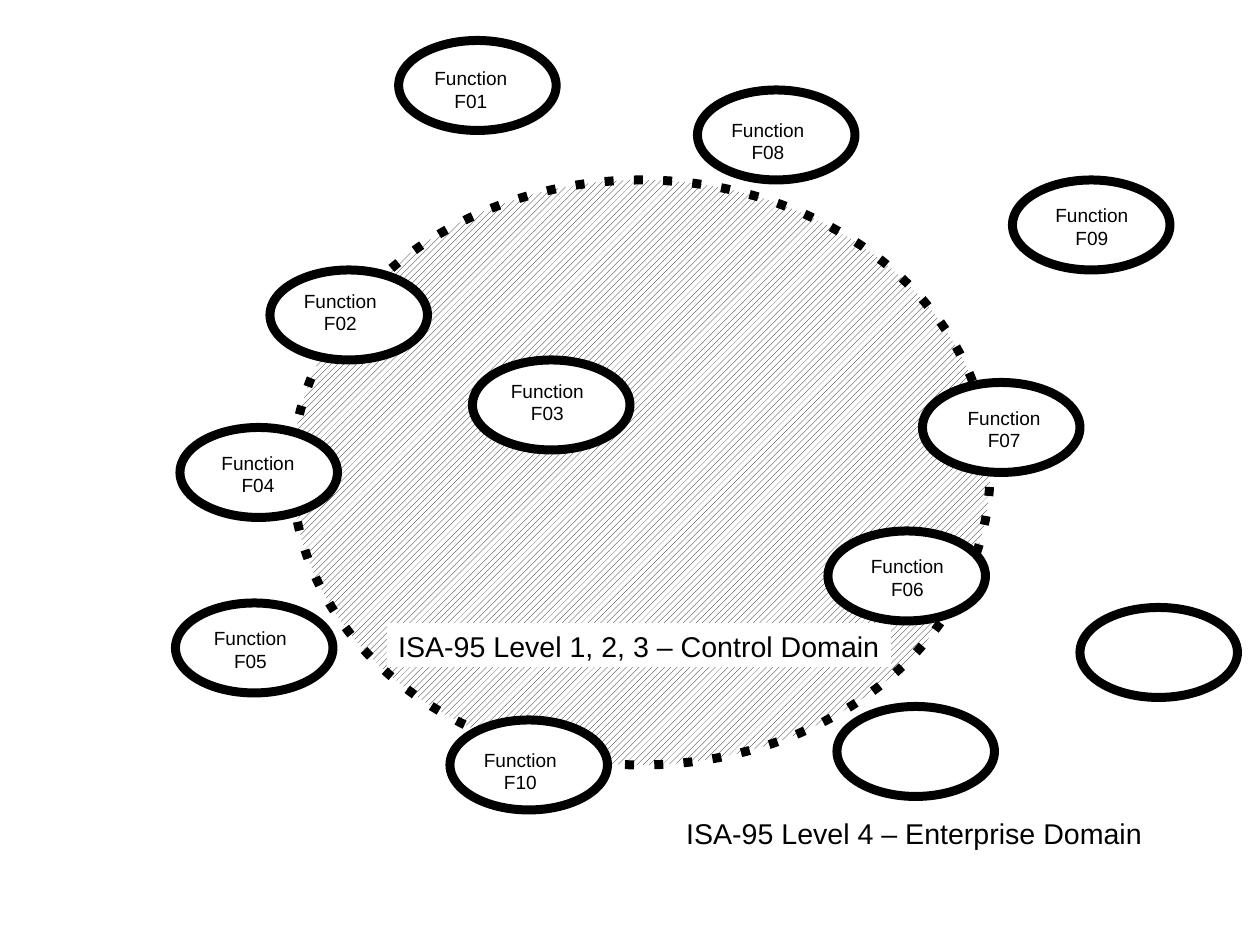
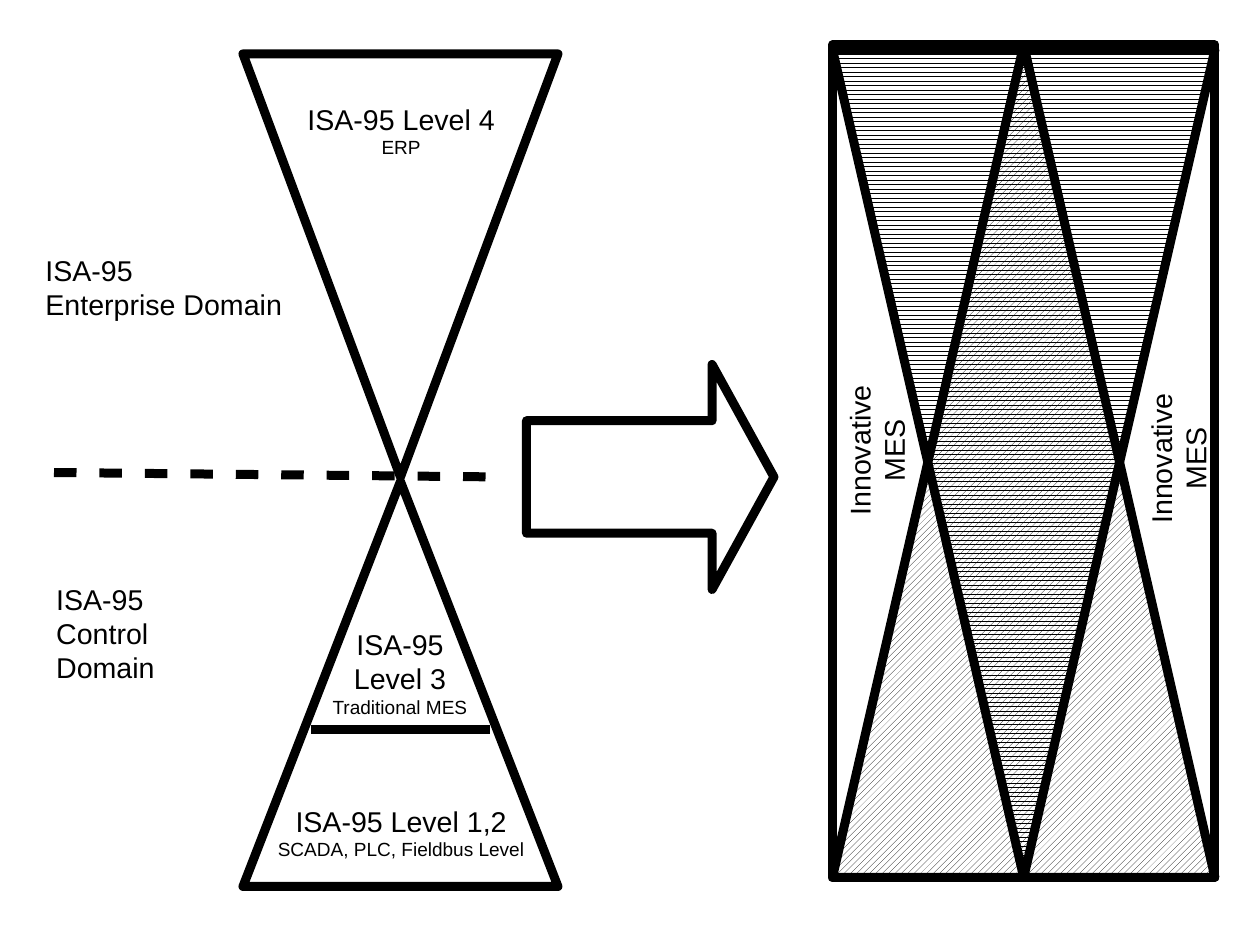
from dataclasses import dataclass
from typing import Optional

from lxml.etree import SubElement
from pptx import Presentation
from pptx.dml.color import RGBColor
from pptx.enum.dml import MSO_PATTERN
from pptx.enum.shapes import MSO_CONNECTOR, MSO_SHAPE
from pptx.enum.text import MSO_AUTO_SIZE, PP_ALIGN
from pptx.oxml.ns import qn
from pptx.util import Emu, Length, Pt

COLUMNS, ROWS = 28, 21
CELL = 360000  # square grid cell, one centimetre


@dataclass(frozen=True)
class Theme:
    ink: RGBColor = RGBColor(0, 0, 0)
    paper: RGBColor = RGBColor(255, 255, 255)
    font: str = "Arial"
    heading: Length = Pt(18)
    note: Length = Pt(12)
    stroke: Length = Pt(5.67)


THEME = Theme()


@dataclass(frozen=True)
class Area:
    """A rectangle in grid columns and rows."""
    column: float
    row: float
    columns: float
    rows: float

    def box(self) -> tuple[Emu, Emu, Emu, Emu]:
        return cells(self.column), cells(self.row), cells(self.columns), cells(self.rows)


@dataclass(frozen=True)
class Outline:
    kind: MSO_SHAPE
    area: Area
    pattern: Optional[MSO_PATTERN] = None
    filled: bool = True
    flipped: bool = False
    dash: Optional[tuple[float, float]] = None
    adjustments: tuple[float, ...] = ()


@dataclass(frozen=True)
class Label:
    area: Area
    headings: tuple[str, ...] = ()
    notes: tuple[str, ...] = ()
    align: PP_ALIGN = PP_ALIGN.CENTER
    filled: bool = False
    rotation: float = 0


@dataclass(frozen=True)
class Rule:
    start: tuple[float, float]
    end: tuple[float, float]
    dash: Optional[tuple[float, float]] = None


@dataclass(frozen=True)
class Function:
    """An ellipse on the grid, with its label's offset from the ellipse."""
    column: float
    row: float
    code: str = ""
    shift: tuple[float, float] = (0, 0)


# Slide 1: functions around the control domain
CONTROL_DOMAIN = Outline(MSO_SHAPE.OVAL, Area(6.5, 4, 15.5, 13),
                         MSO_PATTERN.WIDE_UPWARD_DIAGONAL, dash=(1, 2.25))
DOMAIN_LABELS = (
    Label(Area(15, 18, 10.64, 0.97), ("ISA-95 Level 4 – Enterprise Domain",),
          align=PP_ALIGN.LEFT),
    Label(Area(8.6, 13.85, 11.2, 0.97), ("ISA-95 Level 1, 2, 3 – Control Domain",),
          align=PP_ALIGN.LEFT, filled=True),
)
FUNCTIONS = (
    Function(8.86, 0.9, "F01", (0.54, 0.45)),
    Function(6, 6, "F02", (0.5, 0.3)),
    Function(10.5, 8, "F03", (0.6, 0.3)),
    Function(4, 9.5, "F04", (0.67, 0.4)),
    Function(3.9, 13.4, "F05", (0.6, 0.4)),
    Function(18.4, 11.8, "F06", (0.7, 0.4)),
    Function(20.5, 8.5, "F07", (0.75, 0.4)),
    Function(15.5, 2, "F08", (0.5, 0.5)),
    Function(22.5, 4, "F09", (0.7, 0.4)),
    Function(10, 16, "F10", (0.5, 0.5)),
    Function(24, 13.5),
    Function(18.6, 15.7),
)

# Slide 2: from the two-level hourglass to the innovative MES
TRIANGLE = MSO_SHAPE.FLOWCHART_EXTRACT
MES_FRAME = Area(18.5, 1, 8.5, 18.5)
HOURGLASS = (
    Outline(TRIANGLE, Area(5.4, 10.7, 7, 9)),
    Outline(TRIANGLE, Area(5.4, 1.2, 7, 9.4), filled=False, flipped=True),
)
TRANSITION = (
    Outline(MSO_SHAPE.RIGHT_ARROW, Area(11.7, 8.1, 5.5, 5), adjustments=(0.5, 0.275)),
    Outline(TRIANGLE, Area(18.5, 1.1, 8.5, 18.4), MSO_PATTERN.HORIZONTAL, flipped=True),
    Outline(TRIANGLE, MES_FRAME, MSO_PATTERN.WIDE_UPWARD_DIAGONAL),
    Outline(MSO_SHAPE.RECTANGLE, MES_FRAME, filled=False),
)
DIVIDERS = (
    Rule((6.9, 16.2), (10.9, 16.2)),
    Rule((1.2, 10.5), (11.2, 10.6), dash=(2.5, 2.55)),
)
LEVEL_LABELS = (
    Label(Area(6.5, 2.13, 4.83, 1.45), ("ISA-95 Level 4",), ("ERP",)),
    Label(Area(7.14, 13.8, 3.5, 2.16), ("ISA-95", "Level 3"), ("Traditional MES",)),
    Label(Area(5.92, 17.73, 5.99, 1.45), ("ISA-95 Level 1,2",),
          ("SCADA, PLC, Fieldbus Level",)),
    Label(Area(0.76, 5.5, 5.77, 1.68), ("ISA-95", "Enterprise Domain"),
          align=PP_ALIGN.LEFT),
    Label(Area(1, 12.8, 4.9, 1.68), ("ISA-95", "Control Domain"), align=PP_ALIGN.LEFT),
    Label(Area(17.73, 9.17, 3.4, 1.68), ("Innovative", "MES"), rotation=270),
    Label(Area(24.43, 9.35, 3.4, 1.68), ("Innovative", "MES"), rotation=270),
)


def cells(count: float) -> Emu:
    return Emu(round(count * CELL))


def style_line(line, dash: Optional[tuple[float, float]]) -> None:
    """Apply the shared stroke; dash and gap are multiples of its width."""
    line.width = THEME.stroke
    line.fill.solid()
    line.fill.fore_color.rgb = THEME.ink
    if dash:
        dashes = SubElement(line.fill._xPr, qn("a:custDash"))
        length, gap = (str(round(part * 100000)) for part in dash)
        SubElement(dashes, qn("a:ds"), d=length, sp=gap)


def fill_pattern(fill, pattern: MSO_PATTERN) -> None:
    """Hatch in ink over a see-through background."""
    fill.patterned()
    fill.pattern = pattern
    fill.fore_color.rgb = THEME.ink
    fill.back_color.rgb = THEME.paper
    background = fill._xPr.find(f".//{qn('a:bgClr')}/{qn('a:srgbClr')}")
    SubElement(background, qn("a:alpha"), val="0")


def fill_paper(fill) -> None:
    fill.solid()
    fill.fore_color.rgb = THEME.paper


def draw_outline(slide, outline: Outline) -> None:
    shape = slide.shapes.add_shape(outline.kind, *outline.area.box())
    shape.shadow.inherit = False
    for index, value in enumerate(outline.adjustments):
        shape.adjustments[index] = value
    if outline.pattern is not None:
        fill_pattern(shape.fill, outline.pattern)
    elif outline.filled:
        fill_paper(shape.fill)
    else:
        shape.fill.background()
    style_line(shape.line, outline.dash)
    if outline.flipped:
        shape.element.spPr.find(qn("a:xfrm")).set("flipV", "1")


def draw_label(slide, label: Label) -> None:
    caption = slide.shapes.add_textbox(*label.area.box())
    caption.rotation = label.rotation
    if label.filled:
        fill_paper(caption.fill)
    frame = caption.text_frame
    frame.word_wrap = False
    frame.auto_size = MSO_AUTO_SIZE.SHAPE_TO_FIT_TEXT
    frame.text = "\n".join(label.headings + label.notes)
    for index, paragraph in enumerate(frame.paragraphs):
        paragraph.alignment = label.align
        for run in paragraph.runs:
            run.font.name = THEME.font
            run.font.size = THEME.heading if index < len(label.headings) else THEME.note
            run.font.color.rgb = THEME.ink


def draw_rule(slide, rule: Rule) -> None:
    ends = [cells(value) for value in rule.start + rule.end]
    connector = slide.shapes.add_connector(MSO_CONNECTOR.STRAIGHT, *ends)
    style_line(connector.line, rule.dash)
    SubElement(connector.element.spPr, qn("a:effectLst"))


def draw_function(slide, function: Function) -> None:
    draw_outline(slide, Outline(MSO_SHAPE.OVAL,
                                Area(function.column, function.row, 3.5, 2)))
    if function.code:
        across, down = function.shift
        area = Area(function.column + across, function.row + down, 2.13, 1.19)
        draw_label(slide, Label(area, notes=("Function", function.code)))


def build_domain_map(slide) -> None:
    draw_outline(slide, CONTROL_DOMAIN)
    for label in DOMAIN_LABELS:
        draw_label(slide, label)
    for function in FUNCTIONS:
        draw_function(slide, function)


def build_level_models(slide) -> None:
    for outline in HOURGLASS:
        draw_outline(slide, outline)
    for rule in DIVIDERS:
        draw_rule(slide, rule)
    for outline in TRANSITION:
        draw_outline(slide, outline)
    for label in LEVEL_LABELS:
        draw_label(slide, label)


def main() -> None:
    deck = Presentation()
    deck.slide_width, deck.slide_height = cells(COLUMNS), cells(ROWS)
    blank = deck.slide_layouts[6]
    for build in (build_domain_map, build_level_models):
        build(deck.slides.add_slide(blank))
    deck.save("out.pptx")


if __name__ == "__main__":
    main()
